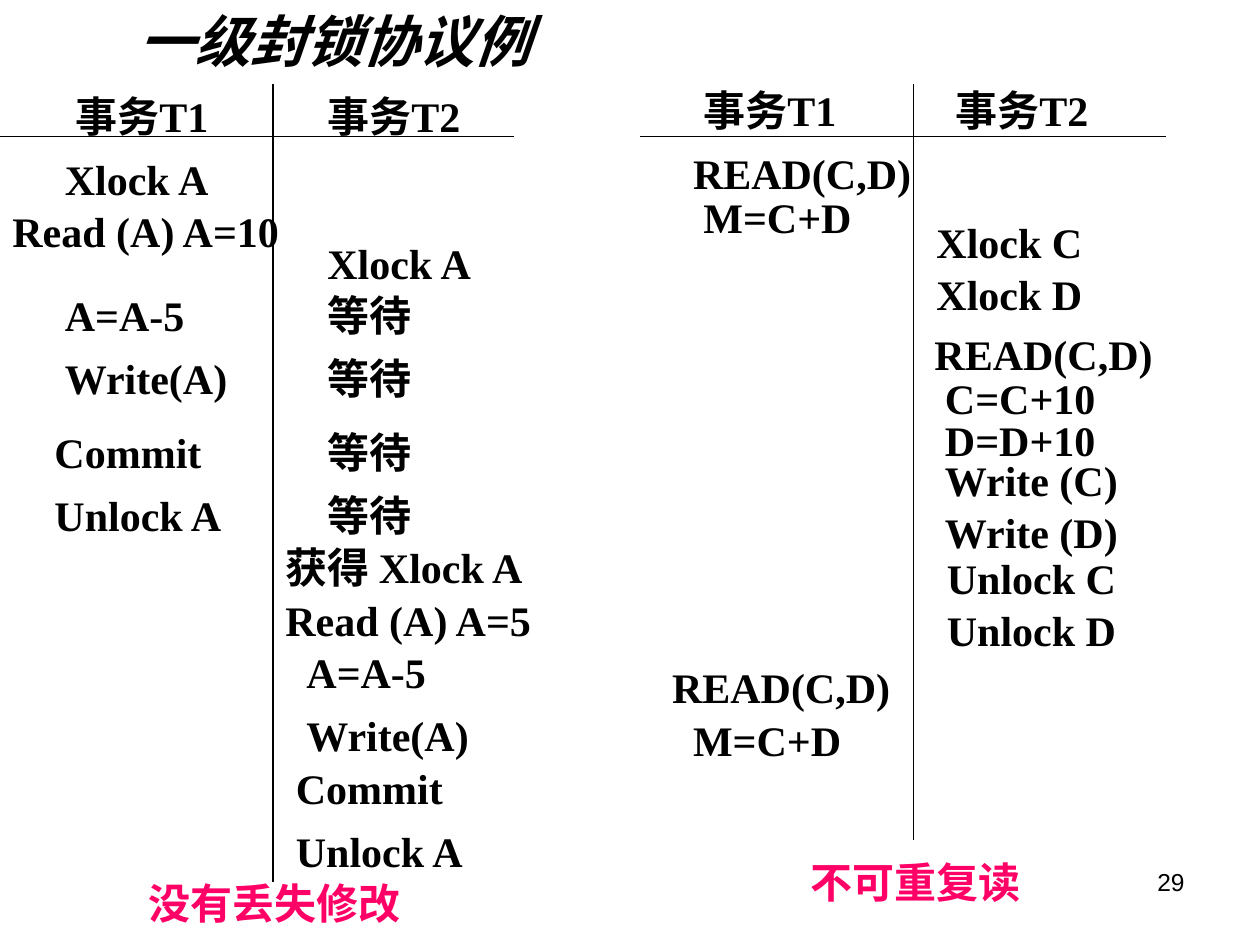
from lxml import etree
from pptx import Presentation
from pptx.dml.color import RGBColor
from pptx.enum.shapes import MSO_CONNECTOR
from pptx.enum.text import MSO_ANCHOR, MSO_AUTO_SIZE, PP_ALIGN
from pptx.oxml.ns import qn
from pptx.util import Pt

TOP, MIDDLE = MSO_ANCHOR.TOP, MSO_ANCHOR.MIDDLE
LEFT, RIGHT = PP_ALIGN.LEFT, PP_ALIGN.RIGHT
STRAIGHT = MSO_CONNECTOR.STRAIGHT
NO_FIT = MSO_AUTO_SIZE.NONE
BLACK, PINK = "000000", "FF0066"
SERIF, SANS = "Times New Roman", "Arial"
PADDED, TIGHT = (7.2, 3.6), (0, 0)

TITLE = "一级封锁协议例"
PAGE = "29"

# Each entry: text, left, top, width
PADDED_STEPS = [
    ("事务T1", 36, 48, 96),
    ("Xlock A", 30, 84, 120),
    ("Read (A) A=10", 0, 114, 168),
    ("A=A-5", 30, 162, 120),
    ("Write(A)", 30, 198, 120),
    ("Commit", 24, 240, 120),
    ("Unlock A", 24, 276, 120),
    ("事务T2", 180, 48, 96),
    ("Xlock A", 180, 132, 120),
    ("等待", 180, 162, 66),
    ("等待", 180, 198, 66),
    ("等待", 180, 240, 66),
    ("等待", 180, 276, 66),
    ("获得 Xlock A", 156, 306, 156),
    ("Read (A) A=5", 156, 336, 168),
    ("A=A-5", 168, 366, 120),
    ("Write(A)", 168, 402, 120),
    ("Commit", 162, 432, 120),
    ("Unlock A", 162, 468, 120),
    ("Xlock C", 528, 120, 120),
    ("Xlock D", 528, 150, 120),
    ("Unlock C", 534, 312, 120),
    ("Unlock D", 534, 342, 120),
]
TIGHT_STEPS = [
    ("事务T1", 402, 48, 102),
    ("READ(C,D)", 396, 84, 126),
    ("M=C+D", 402, 109.5, 102),
    ("READ(C,D)", 384, 378, 126),
    ("M=C+D", 396, 408, 90),
    ("事务T2", 546, 48, 102),
    ("READ(C,D)", 534, 187.5, 126),
    ("C=C+10", 540, 212.5, 102),
    ("D=D+10", 540, 236.5, 102),
    ("Write (C)", 540, 259.5, 102),
    ("Write (D)", 540, 289.5, 102),
]
VERDICTS = [("没有丢失修改", 78, 498, 162), ("不可重复读", 456, 486, 138)]
RULES = [
    (0, 78, 294, 78),
    (156, 48, 156, 504),
    (366, 78, 666, 78),
    (522, 48, 522, 480),
]


def rgb(color):
    return RGBColor.from_string(color)


def write(sp, text, size=24, font=SERIF, color=BLACK, bold=True, italic=False,
          align=LEFT, anchor=TOP, inset=PADDED):
    tf = sp.text_frame
    tf.word_wrap = True
    tf.auto_size = NO_FIT
    tf.vertical_anchor = anchor
    tf.margin_left = tf.margin_right = Pt(inset[0])
    tf.margin_top = tf.margin_bottom = Pt(inset[1])
    p = tf.paragraphs[0]
    p.alignment = align
    r = p.add_run()
    r.text = text
    r.font.size = Pt(size)
    r.font.name = font
    r.font.bold = bold
    r.font.italic = italic
    r.font.color.rgb = rgb(color)


def add_text(s, text, left, top, width, height=36, **style):
    sp = s.shapes.add_textbox(Pt(left), Pt(top), Pt(width), Pt(height))
    write(sp, text, **style)


def add_rule(s, *ends):
    line = s.shapes.add_connector(STRAIGHT, *map(Pt, ends))
    line.line.color.rgb = rgb(BLACK)
    line.line.width = Pt(1)
    etree.SubElement(line._element.spPr, qn("a:effectLst"))


def main():
    prs = Presentation()
    prs.slide_width, prs.slide_height = Pt(720), Pt(540)
    s = prs.slides.add_slide(prs.slide_layouts[5])

    title = s.shapes.title
    title.left, title.top, title.width, title.height = map(Pt, (72, 0, 264, 48))
    write(title, TITLE, size=32, font=SANS, italic=True)

    for step in PADDED_STEPS:
        add_text(s, *step)
    for step in TIGHT_STEPS:
        add_text(s, *step, height=29, anchor=MIDDLE, inset=TIGHT)
    for verdict in VERDICTS:
        add_text(s, *verdict, color=PINK)
    for ends in RULES:
        add_rule(s, *ends)
    add_text(s, PAGE, 516, 492, 168, size=14, font=SANS, bold=False, align=RIGHT)

    prs.save("out.pptx")


if __name__ == "__main__":
    main()
